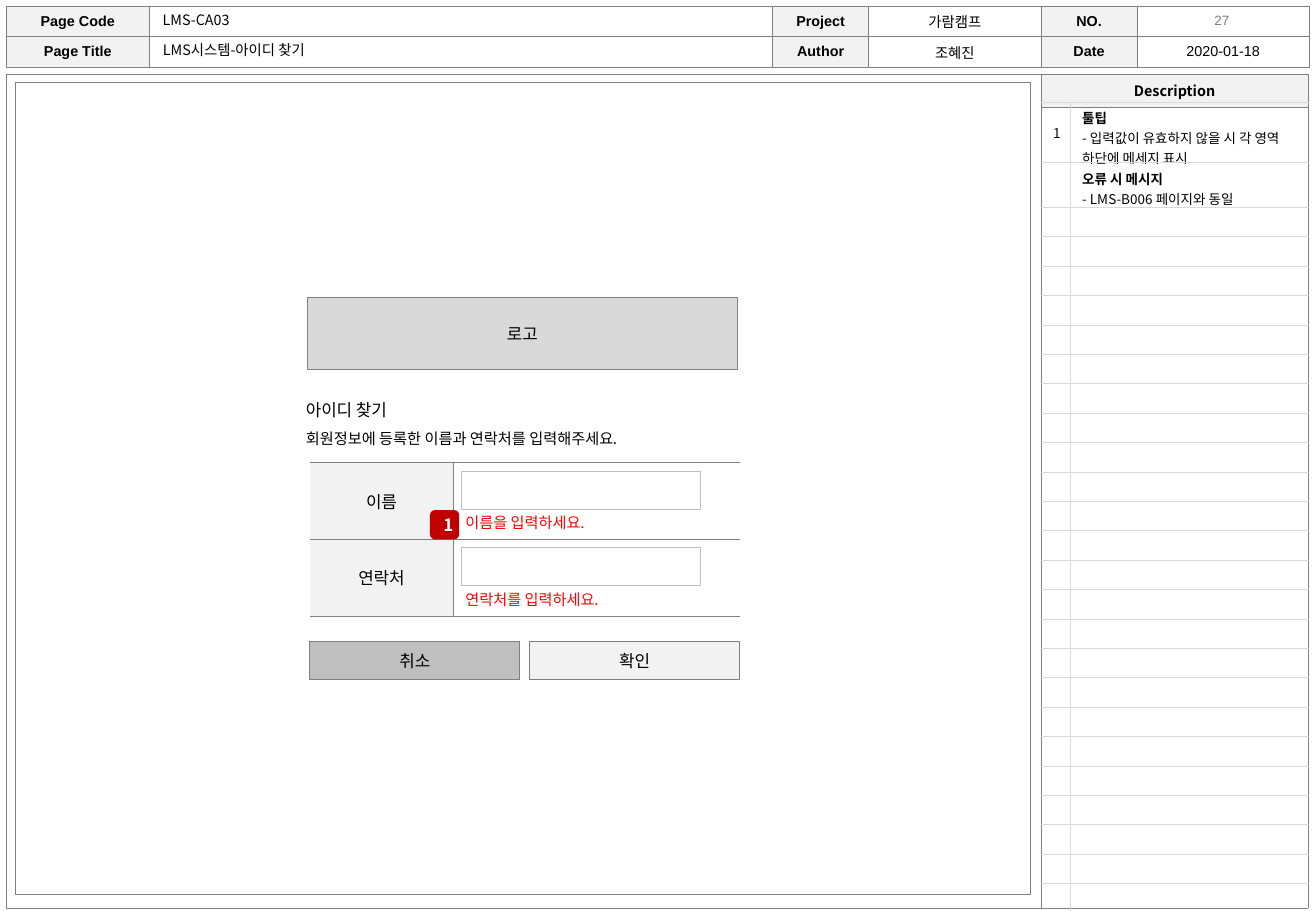
from lxml.etree import SubElement
from pptx import Presentation
from pptx.dml.color import RGBColor
from pptx.enum.shapes import MSO_SHAPE as Shape
from pptx.enum.text import MSO_ANCHOR as Anchor, PP_ALIGN as Align
from pptx.oxml.ns import qn
from pptx.util import Pt

KOREAN, LATIN = "Noto Sans CJK KR", "Arial"
BLACK, WHITE, RED, BADGE = "000000", "FFFFFF", "FF0000", "C00000"
GRAY, SILVER, RULE, PALE = "808080", "BFBFBF", "D9D9D9", "F2F2F2"

# Content
PAGE_CODE, PAGE_TITLE, PAGE_NUMBER = "LMS-CA03", "LMS시스템-아이디 찾기", "27"
HEADER = [
    ["Page Code", "", "Project", "가람캠프", "NO.", ""],
    ["Page Title", "", "Author", "조혜진", "Date", "2020-01-18"],
]
DESCRIPTIONS = [
    ("1", ["툴팁", "- 입력값이 유효하지 않을 시 각 영역 하단에 메세지 표시"]),
    ("", ["오류 시 메시지", "- LMS-B006 페이지와 동일"]),
]
DESCRIPTION_ROWS = 27
FORM = [("이름", "이름을 입력하세요."), ("연락처", "연락처를 입력하세요.")]
INTRO = [("아이디 찾기", 10), ("회원정보에 등록한 이름과 연락처를 입력해주세요.", 9)]
BUTTONS = [("취소", SILVER), ("확인", PALE)]

# Layout in points
HEADER_COLUMNS = [85, 369.4, 56.9, 102.2, 56.9, 102.2]
FORM_LEFT, FORM_TOP, FORM_ROW = 183.6, 274.3, 45.4
FORM_COLUMNS = [85, 169.9]
BUTTON_WIDTH, BUTTON_GAP = 124.6, 5.7


def color(value):
    return RGBColor.from_string(value)


def format_runs(paragraph, size, ink=BLACK, bold=False, font=KOREAN):
    for run in paragraph.runs:
        run.font.size = Pt(size)
        run.font.bold = bold
        run.font.name = font
        run.font.color.rgb = color(ink)
        SubElement(run.font._element, qn("a:ea"), typeface=font)


def add_box(slide, bounds, fill, line=None, text="", ink=BLACK, bold=False, kind=Shape.RECTANGLE):
    shape = slide.shapes.add_shape(kind, *map(Pt, bounds))
    shape.shadow.inherit = False
    shape.fill.solid()
    shape.fill.fore_color.rgb = color(fill)
    if line:
        shape.line.color.rgb = color(line)
        shape.line.width = Pt(0.5)
    else:
        shape.line.fill.background()
    if text:
        frame = shape.text_frame
        frame.text = text
        frame.vertical_anchor = Anchor.MIDDLE
        frame.paragraphs[0].alignment = Align.CENTER
        format_runs(frame.paragraphs[0], 10, ink, bold)


def add_text(slide, bounds, text, size, font=KOREAN, ink=BLACK, align=Align.LEFT):
    box = slide.shapes.add_textbox(*map(Pt, bounds))
    frame = box.text_frame
    frame.word_wrap = True
    frame.text = text
    for paragraph in frame.paragraphs:
        paragraph.alignment = align
        format_runs(paragraph, size, ink, font=font)
    return frame


def add_grid(slide, left, top, columns, rows):
    frame = slide.shapes.add_table(len(rows), len(columns), Pt(left), Pt(top),
                                   Pt(sum(columns)), Pt(sum(rows)))
    table = frame.table
    table.first_row = table.horz_banding = False
    for column, width in zip(table.columns, columns):
        column.width = Pt(width)
    for row, height in zip(table.rows, rows):
        row.height = Pt(height)
    return frame


def style_cell(cell, sides, line, width, fill=None, margin=3.6):
    properties = cell._tc.get_or_add_tcPr()
    for side in "LRTB":
        border = SubElement(properties, qn(f"a:ln{side}"), w=str(Pt(width)))
        if side in sides:
            solid = SubElement(border, qn("a:solidFill"))
            SubElement(solid, qn("a:srgbClr"), val=line)
        else:
            SubElement(border, qn("a:noFill"))
    if fill:
        cell.fill.solid()
        cell.fill.fore_color.rgb = color(fill)
    else:
        cell.fill.background()
    cell.margin_top = cell.margin_bottom = Pt(margin)
    cell.vertical_anchor = Anchor.MIDDLE
    if not cell.text_frame.text:
        cell.text_frame.paragraphs[0]._p.get_or_add_endParaRPr().set("sz", "850")


def add_page_frame(slide):
    table = add_grid(slide, 3.6, 43.7, [613.4, 158.4], [19.6, 475]).table
    heading = table.cell(0, 1)
    heading.text = "Description"
    heading.text_frame.paragraphs[0].alignment = Align.CENTER
    format_runs(heading.text_frame.paragraphs[0], 8.5, bold=True)
    for row, column, sides in [(0, 0, "LTR"), (0, 1, "LTRB"), (1, 0, "LRB"), (1, 1, "LTRB")]:
        fill = PALE if (row, column) == (0, 1) else None
        style_cell(table.cell(row, column), sides, GRAY, 0.25, fill, 3)


def add_header(slide):
    table = add_grid(slide, 3.6, 3.6, HEADER_COLUMNS, [18.1] * len(HEADER)).table
    for row, texts in enumerate(HEADER):
        for column, text in enumerate(texts):
            cell, label = table.cell(row, column), column % 2 == 0
            cell.text = text
            paragraph = cell.text_frame.paragraphs[0]
            paragraph.alignment = Align.CENTER
            format_runs(paragraph, 8.5, bold=label, font=LATIN if text.isascii() else KOREAN)
            style_cell(cell, "LRTB", GRAY, 0.25, PALE if label else None, 2.7)
    add_text(slide, (673.2, 3.6, 102.2, 17.3), PAGE_NUMBER, 8, LATIN, "7F7F7F", Align.CENTER)
    add_text(slide, (89.3, 2.9, 368.6, 17.3), PAGE_CODE, 8.5)


def add_title(slide):
    title = slide.shapes.title
    title.left, title.top, title.width, title.height = map(Pt, (89.3, 20.9, 368.6, 17.3))
    frame = title.text_frame
    frame.text = PAGE_TITLE
    frame.vertical_anchor = Anchor.TOP
    paragraph = frame.paragraphs[0]
    paragraph.alignment = Align.LEFT
    paragraph.line_spacing = 1.0
    format_runs(paragraph, 8.5)


def add_descriptions(slide):
    heights = [26.6, 19.4] + [12.2] * (DESCRIPTION_ROWS - 2)
    frame = add_grid(slide, 617, 60.5, [17.1, 141.5], heights)
    for row, (number, lines) in enumerate(DESCRIPTIONS):
        mark, note = frame.table.cell(row, 0), frame.table.cell(row, 1)
        mark.text, note.text = number, "\n".join(lines)
        mark.text_frame.paragraphs[0].alignment = Align.CENTER
        format_runs(mark.text_frame.paragraphs[0], 8)
        for index, paragraph in enumerate(note.text_frame.paragraphs):
            format_runs(paragraph, 8, bold=index == 0)
    for row in range(DESCRIPTION_ROWS):
        bottom = "B" if row < DESCRIPTION_ROWS - 1 else ""
        for column, side in enumerate("RL"):
            style_cell(frame.table.cell(row, column), side + "T" + bottom, RULE, 0.5)
    frame.height = Pt(482.4)


def add_form(slide):
    table = add_grid(slide, FORM_LEFT, FORM_TOP, FORM_COLUMNS, [FORM_ROW] * len(FORM)).table
    for row, (label, warning) in enumerate(FORM):
        name, message = table.cell(row, 0), table.cell(row, 1)
        name.text, message.text = label, warning
        name.text_frame.paragraphs[0].alignment = Align.CENTER
        format_runs(name.text_frame.paragraphs[0], 10)
        format_runs(message.text_frame.paragraphs[0], 9, RED)
        style_cell(name, "RTB", GRAY, 0.5, PALE)
        style_cell(message, "LTB", GRAY, 0.5)
        message.vertical_anchor = Anchor.BOTTOM
        add_box(slide, (273.6, FORM_TOP + 5 + row * FORM_ROW, 141.8, 22.6), WHITE, SILVER)
    for index, (label, fill) in enumerate(BUTTONS):
        left = FORM_LEFT + index * (BUTTON_WIDTH + BUTTON_GAP)
        add_box(slide, (left, 380.2, BUTTON_WIDTH, 22.6), fill, GRAY, label)


def main():
    presentation = Presentation()
    presentation.slide_width, presentation.slide_height = Pt(780), Pt(540)
    slide = presentation.slides.add_slide(presentation.slide_layouts[5])

    # Page frame, header and notes
    add_page_frame(slide)
    add_header(slide)
    add_title(slide)
    add_box(slide, (9.4, 49, 601.2, 481), WHITE, GRAY)
    add_descriptions(slide)

    # Find-ID screen
    add_box(slide, (182.2, 176.4, 254.9, 42.5), RULE, GRAY, "로고")
    intro = add_text(slide, (174.2, 227.5, 220.3, 41.8), "\n".join(text for text, _ in INTRO), 10)
    intro.word_wrap = False
    for paragraph, (_, size) in zip(intro.paragraphs, INTRO):
        paragraph.line_spacing = 1.5
        for run in paragraph.runs:
            run.font.size = Pt(size)
    add_form(slide)
    add_box(slide, (254.9, 302.4, 17.3, 17.3), BADGE, None, "1", WHITE, True, Shape.ROUNDED_RECTANGLE)

    presentation.save("out.pptx")


if __name__ == "__main__":
    main()
